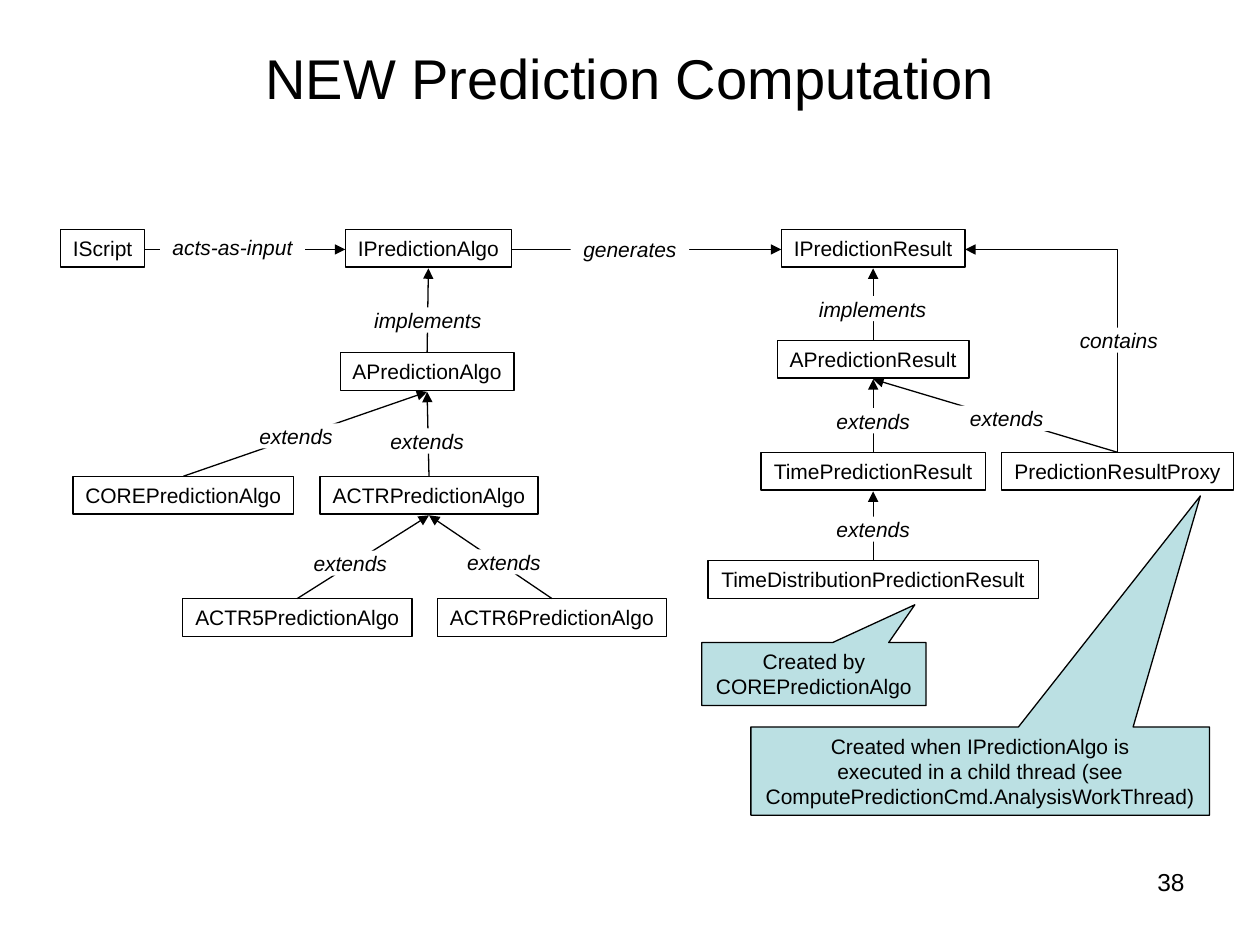
from lxml import etree
from pptx import Presentation
from pptx import util as u
from pptx.dml.color import RGBColor
from pptx.enum import shapes, text
from pptx.oxml import ns

COLORS = {"ink": "000000", "paper": "FFFFFF", "note": "BBE0E3"}
FONT = "Arial"
BOX_HEIGHT = 0.3
LABEL_HEIGHT = 0.2


class Diagram:
    """Holds the style and the current slide, and draws each kind of element."""

    def __init__(self, slide):
        self.slide = slide
        self.boxes = {}

    def color(self, name):
        return RGBColor.from_string(COLORS[name])

    def add_text(self, shape, lines, size=12, italic=False, wrap=True, inset=0.05,
                 align=text.PP_ALIGN.CENTER, anchor=text.MSO_ANCHOR.TOP):
        frame = shape.text_frame
        frame.word_wrap = wrap
        frame.vertical_anchor = anchor
        frame.margin_left = frame.margin_right = u.Inches(0.1)
        frame.margin_top = frame.margin_bottom = u.Inches(inset)
        for index, line in enumerate(lines):
            paragraph = frame.add_paragraph() if index else frame.paragraphs[0]
            paragraph.alignment = align
            run = paragraph.add_run()
            run.text = line
            run.font.name = FONT
            run.font.size = u.Pt(size)
            run.font.italic = italic
            run.font.color.rgb = self.color("ink")

    def text_box(self, place, line, **style):
        self.add_text(self.slide.shapes.add_textbox(*map(u.Inches, place)), [line], **style)

    def shape(self, kind, place, fill, outlined=True):
        shape = self.slide.shapes.add_shape(kind, *map(u.Inches, place))
        shape.shadow.inherit = False
        shape.fill.solid()
        shape.fill.fore_color.rgb = self.color(fill)
        if outlined:
            shape.line.color.rgb = self.color("ink")
            shape.line.width = u.Pt(0.75)
        else:
            shape.line.fill.background()
        return shape

    def class_box(self, name, left, top, width):
        place = (left, top, width, BOX_HEIGHT)
        self.boxes[name] = place
        self.add_text(self.shape(shapes.MSO_SHAPE.RECTANGLE, place, "paper"), [name], wrap=False)

    def label(self, word, left, top, width):
        place = (left, top, width, LABEL_HEIGHT)
        shape = self.shape(shapes.MSO_SHAPE.RECTANGLE, place, "paper", outlined=False)
        self.add_text(shape, [word], italic=True, wrap=False, inset=0)

    def callout(self, lines, place, tip):
        shape = self.shape(shapes.MSO_SHAPE.RECTANGULAR_CALLOUT, place, "note")
        shape.adjustments[0], shape.adjustments[1] = tip
        self.add_text(shape, lines)

    def arrow(self, start, end, kind=shapes.MSO_CONNECTOR.STRAIGHT):
        connector = self.slide.shapes.add_connector(kind, *map(u.Inches, start + end))
        connector.line.color.rgb = self.color("ink")
        connector.line.width = u.Pt(0.75)
        properties = connector._element.spPr
        etree.SubElement(properties.find(ns.qn("a:ln")), ns.qn("a:tailEnd"), type="triangle")
        etree.SubElement(properties, ns.qn("a:effectLst"))
        return connector

    def arrow_up(self, child, parent):
        left, top, width, _ = self.boxes[child]
        parent_left, parent_top, parent_width, height = self.boxes[parent]
        self.arrow((left + width / 2, top),
                   (parent_left + parent_width / 2, parent_top + height + 0.01))

    def arrow_across(self, source, target):
        left, top, width, _ = self.boxes[source]
        middle = top + 0.16
        self.arrow((left + width, middle), (self.boxes[target][0], middle))

    def arrow_up_then_left(self, start, end):
        """One-bend elbow: an upright frame turned by 270 degrees."""
        center_x, center_y = (start[0] + end[0]) / 2, (start[1] + end[1]) / 2
        half_width, half_height = (start[1] - end[1]) / 2, (start[0] - end[0]) / 2
        connector = self.arrow((center_x - half_width, center_y + half_height),
                               (center_x + half_width, center_y - half_height),
                               shapes.MSO_CONNECTOR.ELBOW)
        properties = connector._element.spPr
        properties.find(ns.qn("a:xfrm")).set("rot", str(270 * 60000))
        properties.find(ns.qn("a:prstGeom")).set("prst", "bentConnector2")


def main():
    presentation = Presentation()
    presentation.slide_width, presentation.slide_height = u.Inches(10), u.Inches(7.5)
    diagram = Diagram(presentation.slides.add_slide(presentation.slide_layouts[6]))

    # Title
    diagram.text_box((0.5, 0.3, 9, 0.62), "NEW Prediction Computation", size=32,
                     anchor=text.MSO_ANCHOR.MIDDLE)

    # Classes: name, left, top, width
    for box in [
        ("IScript", 0.48, 1.82, 0.67),
        ("IPredictionAlgo", 2.74, 1.82, 1.32),
        ("IPredictionResult", 6.2, 1.82, 1.46),
        ("APredictionAlgo", 2.7, 2.8, 1.38),
        ("APredictionResult", 6.17, 2.7, 1.52),
        ("COREPredictionAlgo", 0.58, 3.78, 1.75),
        ("ACTRPredictionAlgo", 2.54, 3.78, 1.73),
        ("ACTR5PredictionAlgo", 1.45, 4.75, 1.82),
        ("ACTR6PredictionAlgo", 3.47, 4.75, 1.82),
        ("TimePredictionResult", 6.04, 3.59, 1.78),
        ("PredictionResultProxy", 7.95, 3.59, 1.84),
        ("TimeDistributionPredictionResult", 5.62, 4.45, 2.62),
    ]:
        diagram.class_box(*box)

    # Arrows
    diagram.arrow_across("IScript", "IPredictionAlgo")
    diagram.arrow_across("IPredictionAlgo", "IPredictionResult")
    for child, parent in [
        ("APredictionAlgo", "IPredictionAlgo"),
        ("COREPredictionAlgo", "APredictionAlgo"),
        ("ACTRPredictionAlgo", "APredictionAlgo"),
        ("ACTR5PredictionAlgo", "ACTRPredictionAlgo"),
        ("ACTR6PredictionAlgo", "ACTRPredictionAlgo"),
        ("APredictionResult", "IPredictionResult"),
        ("TimePredictionResult", "APredictionResult"),
        ("TimeDistributionPredictionResult", "TimePredictionResult"),
        ("PredictionResultProxy", "APredictionResult"),
    ]:
        diagram.arrow_up(child, parent)
    diagram.arrow_up_then_left((8.87, 3.59), (7.66, 1.98))

    # Relation labels: word, width, places
    for word, width, places in [
        ("acts-as-input", 1.15, [(1.27, 1.86)]),
        ("generates", 0.94, [(4.53, 1.88)]),
        ("implements", 1.05, [(2.87, 2.44), (6.4, 2.35)]),
        ("extends", 0.78, [(1.96, 3.36), (3, 3.4), (2.39, 4.37), (3.61, 4.36),
                           (6.54, 3.24), (6.54, 4.1), (7.6, 3.22)]),
        ("contains", 0.82, [(8.47, 2.6)]),
    ]:
        for left, top in places:
            diagram.label(word, left, top, width)

    # Callouts
    diagram.callout(["Created when IPredictionAlgo is",
                     "executed in a child thread (see ComputePredictionCmd.AnalysisWorkThread)"],
                    (5.96, 5.77, 3.64, 0.7), (0.48, -3.12))
    diagram.callout(["Created by COREPredictionAlgo"], (5.57, 5.1, 1.78, 0.5), (0.45, -1.1))

    # Slide number
    diagram.text_box((7.75, 6.83, 1.75, 0.52), "38", size=14, align=text.PP_ALIGN.RIGHT)

    presentation.save("out.pptx")


if __name__ == "__main__":
    main()
